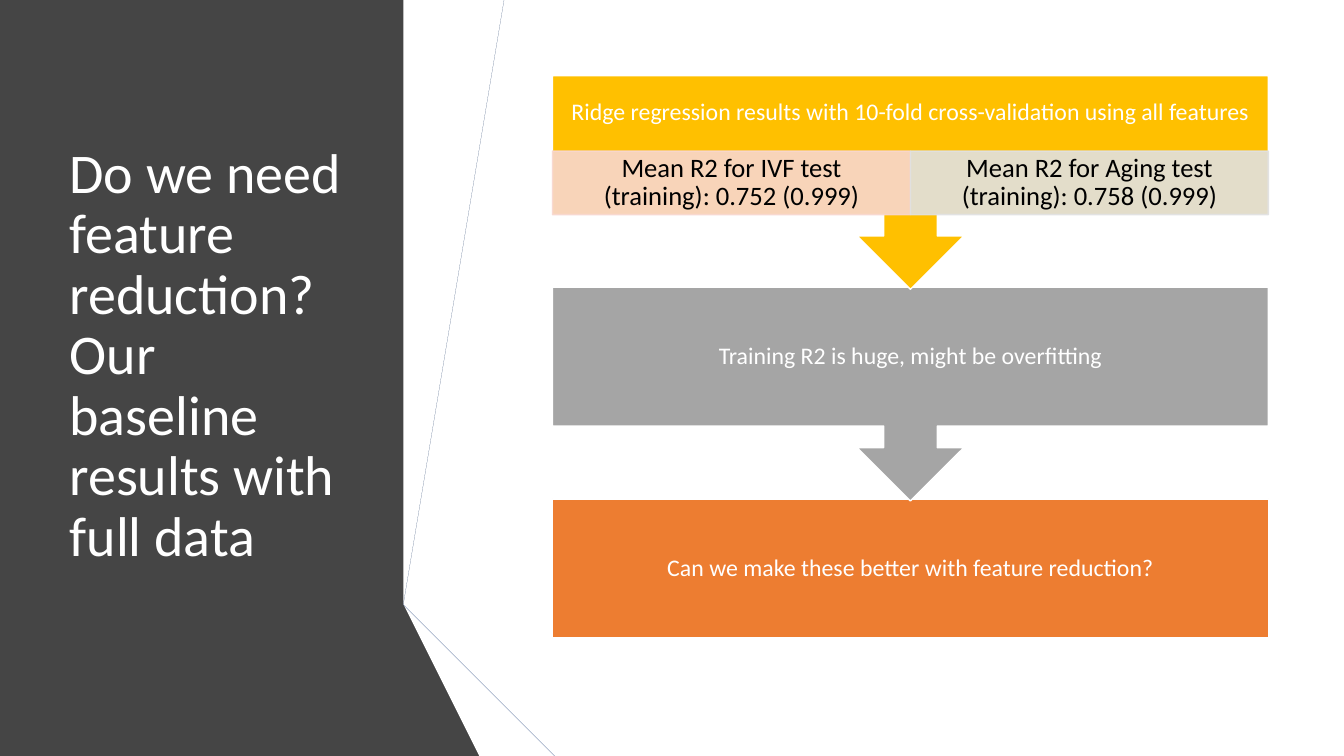
from lxml.etree import SubElement
from pptx import Presentation
from pptx.dml.color import RGBColor as RGB
from pptx.enum.shapes import MSO_SHAPE as SHAPE
from pptx.enum.text import MSO_ANCHOR as ANCHOR, MSO_AUTO_SIZE as FIT, PP_ALIGN as ALIGN
from pptx.oxml.ns import qn
from pptx.util import Inches, Pt

# Content
TITLE = "Do we need feature reduction? Our baseline results with full data"
STEPS = [
    ("Ridge regression results with 10-fold cross-validation using all features", "gold"),
    ("Training R2 is huge, might be overfitting", "gray"),
    ("Can we make these better with feature reduction?", "orange"),
]
SCORES = [
    ("Mean R2 for IVF test (training): 0.752 (0.999)", "peach"),
    ("Mean R2 for Aging test (training): 0.758 (0.999)", "pale"),
]
BANDS = [
    ("panel", [(0, 0), (4.49, 0), (3.56, 5.75), (4.82, 7.5), (0, 7.5)]),
    ("blue", [(3.96, 5.78), (4.23, 5.83), (5.19, 0), (4.91, 0)]),
    ("slate", [(4.85, 0), (4.57, 0), (3.63, 5.73), (3.9, 5.77)]),
    ("black", [(3.63, 5.73), (4.91, 7.5), (4.97, 7.5)]),
    ("navy", [(3.96, 5.79), (5.54, 7.5), (5.6, 7.5)]),
    ("denim", [(3.96, 5.78), (5.6, 7.5), (6.29, 7.5), (4.23, 5.83)]),
    ("coal", [(5.48, 7.5), (3.95, 5.83), (3.89, 5.77), (3.63, 5.73), (4.97, 7.5)]),
]

# Theme
THEME = {
    "font": "Calibri",
    "size": {"title": 40, "step": 17, "score": 19},
    "color": {
        "white": "FFFFFF", "ink": "000000", "panel": "454545", "blue": "4472C4",
        "slate": "595959", "black": "262626", "navy": "203864", "denim": "2F5597",
        "coal": "404040", "gold": "FFC000", "gray": "A5A5A5", "orange": "ED7D31",
        "peach": "F8D7CE", "pale": "E1E1E1",
    },
}

# Layout, in inches
LEFT, TOP, WIDTH = 5.48, 0.75, 7.1
BOX, CALL, PITCH = 1.38, 2.12, 2.1
HEAD, CELL = 0.74, 0.63

deck = Presentation()
deck.slide_width, deck.slide_height = Inches(13.33), Inches(7.5)
slide = deck.slides.add_slide(deck.slide_layouts[5])
shapes = slide.shapes


def color(name):
    return RGB.from_string(THEME["color"][name])


def apply(item, form):
    for key, value in form.items():
        setattr(item, key, value)


def paint(shape, fill, line=None, alpha=None):
    shape.shadow.inherit = False
    shape.fill.solid()
    shape.fill.fore_color.rgb = color(fill)
    if line:
        shape.line.color.rgb = color(line)
        shape.line.width = Pt(1)
    else:
        shape.line.fill.background()
    if alpha:
        for tint in shape._element.spPr.iter(qn("a:srgbClr")):
            SubElement(tint, qn("a:alpha"), val=str(alpha * 1000))


def write(shape, text, role, ink, align, pad):
    frame = shape.text_frame
    frame.text = text
    x, y = (Inches(n) for n in pad)
    apply(frame, dict(word_wrap=True, auto_size=FIT.NONE, vertical_anchor=ANCHOR.MIDDLE,
                      margin_left=x, margin_right=x, margin_top=y, margin_bottom=y))
    para = frame.paragraphs[0]
    apply(para, dict(alignment=align, line_spacing=0.9))
    font = para.runs[0].font
    apply(font, dict(name=THEME["font"], size=Pt(THEME["size"][role])))
    font.color.rgb = color(ink)


def label(area, text, role, ink, pad):
    write(shapes.add_textbox(*area), text, role, ink, ALIGN.CENTER, pad)


def place(*area):
    return [Inches(n) for n in area]


# Side panel and folded bands
for fill, points in BANDS:
    path = shapes.build_freeform(*points[0], scale=Inches(1))
    path.add_line_segments(points[1:], close=True)
    paint(path.convert_to_shape(), fill)

# Title, raised above the panel
title = shapes.title
apply(title, dict(zip(("left", "top", "width", "height"), place(0.59, 0.75, 3.04, 5.58))))
write(title, TITLE, "title", "white", ALIGN.LEFT, (0.1, 0.05))
shapes._spTree.append(title._element)

# Steps, last one first so each arrow tip lies on the next box
last = len(STEPS) - 1
for i, (text, fill) in reversed(list(enumerate(STEPS))):
    top = TOP + i * PITCH
    kind, high, turn = (SHAPE.RECTANGLE, BOX, 0) if i == last else (SHAPE.UP_ARROW_CALLOUT, CALL, 180)
    step = shapes.add_shape(kind, *place(LEFT, top, WIDTH, high))
    step.rotation = turn
    paint(step, fill, "white")
    area = place(LEFT, top, WIDTH, BOX if i else HEAD)
    label(area, text, "step", "white", (0.13, 0.13))

# Scores inside the first step
wide = WIDTH / len(SCORES)
for i, (text, fill) in enumerate(SCORES):
    area = place(LEFT + i * wide, TOP + HEAD + 0.01, wide, CELL)
    paint(shapes.add_shape(SHAPE.RECTANGLE, *area), fill, fill, 90)
    label(area, text, "score", "ink", (0.15, 0.03))

deck.save("out.pptx")
